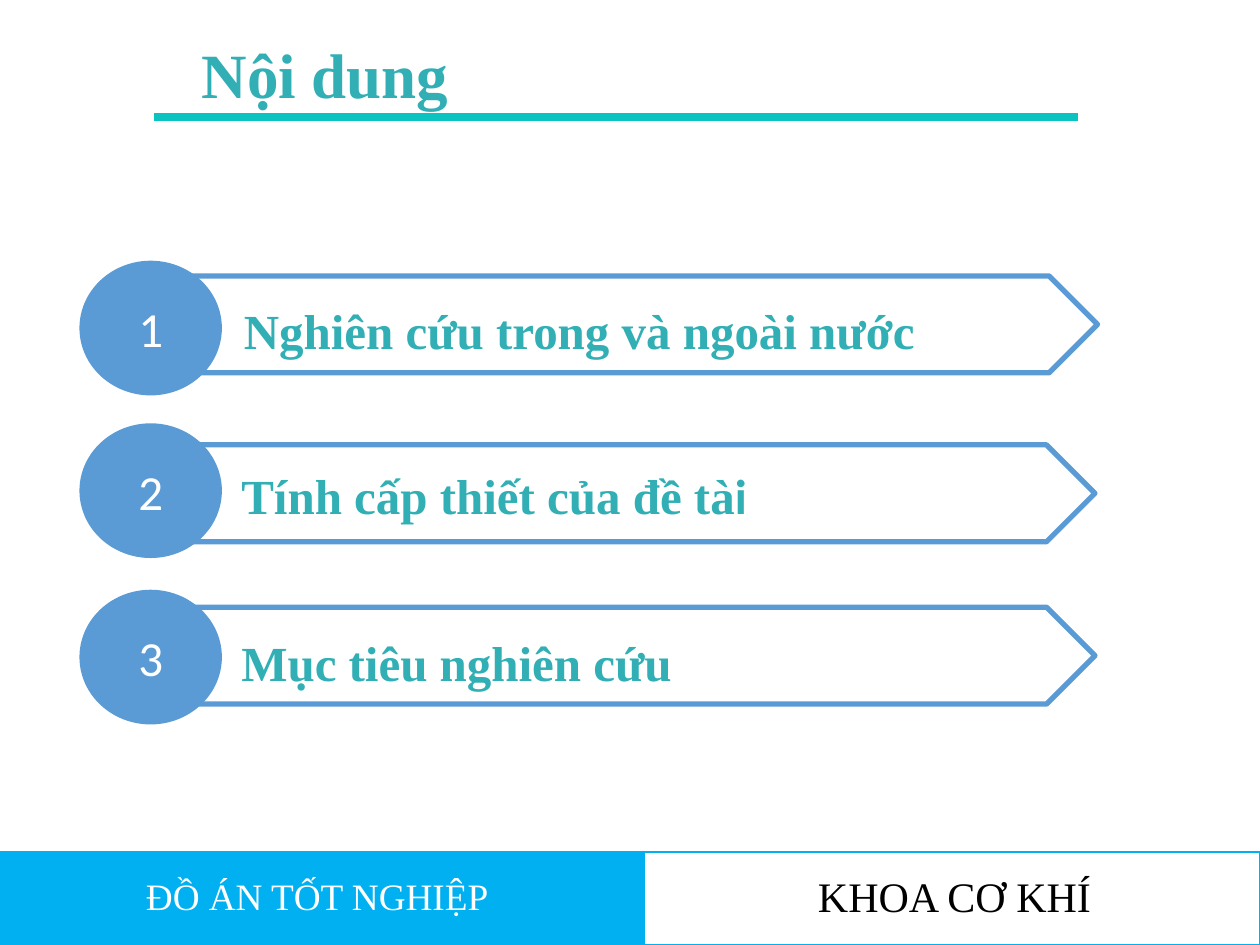
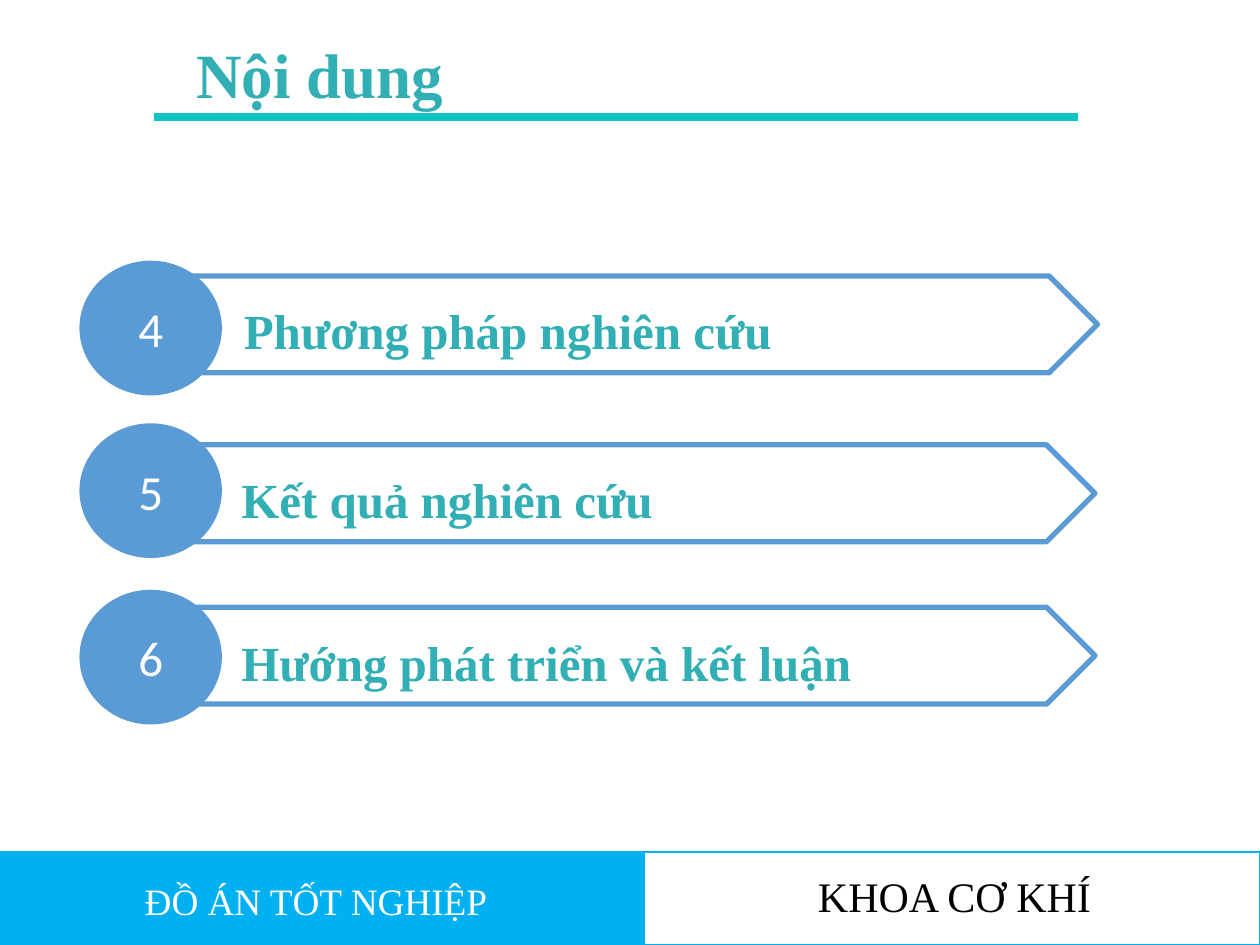
from dataclasses import dataclass

from lxml.etree import SubElement
from pptx import Presentation
from pptx.dml.color import RGBColor
from pptx.enum.shapes import MSO_CONNECTOR, MSO_SHAPE
from pptx.enum.text import MSO_ANCHOR, PP_ALIGN
from pptx.oxml.ns import qn
from pptx.util import Pt

SERIF = "Times New Roman"
SANS = "Calibri"
TEAL = "31AFB5"
RULE_TEAL = "0BC3C1"
STEEL = "5B9BD5"
SKY = "00B0F0"
WHITE = "FFFFFF"
BLACK = "000000"

FOOTER_TOP = 486.7
FOOTER_HEIGHT = 53.3
FOOTER_SPLIT = 367.9


@dataclass(frozen=True)
class Area:
    left: float
    top: float
    width: float
    height: float

    def lengths(self) -> list:
        return [Pt(value) for value in (self.left, self.top, self.width, self.height)]


@dataclass(frozen=True)
class Style:
    size: float
    color: str
    font: str = SERIF
    bold: bool = False


@dataclass(frozen=True)
class Row:
    plate_left: float
    plate_top: float
    circle_top: float


@dataclass(frozen=True)
class Topic:
    label: str
    sans_tail: str = ""


@dataclass(frozen=True)
class Agenda:
    title_left: float
    project: Area
    first_number: int
    topics: tuple


TITLE = Style(36, TEAL, bold=True)
TOPIC = Style(28, TEAL, bold=True)
TOPIC_TAIL = Style(28, TEAL, SANS, True)
NUMBER = Style(28, WHITE, SANS)
FACULTY = Style(24, BLACK)
PROJECT = Style(21.3, WHITE)

ROWS = (Row(87.84, 157.7, 149), Row(86.4, 254.2, 241.9), Row(86.4, 347, 337))

AGENDAS = (
    Agenda(115.2, Area(76.3, 495.4, 231.1, 33.1), 1, (
        Topic("Nghiên cứu trong và ngoài nước"),
        Topic("Tính cấp thiết của đề tà", "i"),
        Topic("Mục tiêu nghiên cứu"),
    )),
    Agenda(112.3, Area(75.6, 498.2, 439.9, 33.1), 4, (
        Topic("Phương pháp nghiên cứu"),
        Topic("Kết quả nghiên cứu"),
        Topic("Hướng phát triển và kết luận"),
    )),
)


def rgb(color: str) -> RGBColor:
    return RGBColor.from_string(color)


def format_span(span, style: Style) -> None:
    span.font.size = Pt(style.size)
    span.font.name = style.font
    span.font.bold = style.bold
    span.font.color.rgb = rgb(style.color)


def write(shape, text: str, style: Style, align=PP_ALIGN.LEFT, anchor=MSO_ANCHOR.TOP):
    frame = shape.text_frame
    frame.text = text
    frame.word_wrap = True
    frame.vertical_anchor = anchor
    para = frame.paragraphs[0]
    para.alignment = align
    format_span(para.runs[0], style)
    return frame


def add_box(page, area: Area, text: str, style: Style, align=PP_ALIGN.LEFT):
    return write(page.shapes.add_textbox(*area.lengths()), text, style, align)


def add_block(page, kind, area: Area, fill: str = "", line: str = "", weight: float = 1):
    shape = page.shapes.add_shape(kind, *area.lengths())
    shape.shadow.inherit = False
    if fill:
        shape.fill.solid()
        shape.fill.fore_color.rgb = rgb(fill)
    else:
        shape.fill.background()
    if line:
        shape.line.color.rgb = rgb(line)
        shape.line.width = Pt(weight)
    else:
        shape.line.fill.background()
    return shape


def add_title(page, left: float) -> None:
    frame = add_box(page, Area(left, 20.2, 192.2, 43.9), "Nội dung", TITLE)
    frame.margin_left = frame.margin_right = frame.margin_top = frame.margin_bottom = 0


def add_rule(page) -> None:
    rule = page.shapes.add_connector(MSO_CONNECTOR.STRAIGHT, Pt(87.84), Pt(67), Pt(616.3), Pt(67))
    rule.line.color.rgb = rgb(RULE_TEAL)
    rule.line.width = Pt(4.5)
    SubElement(rule._element.spPr, qn("a:effectLst"))


def add_topic(page, row: Row, number: int, topic: Topic) -> None:
    plate_area = Area(row.plate_left, row.plate_top, 539.3, 55.4)
    plate = add_block(page, MSO_SHAPE.PENTAGON, plate_area, line=STEEL, weight=3)
    frame = write(plate, topic.label, TOPIC)
    frame.margin_left = Pt(51.5)
    frame.margin_top = Pt(3.6 if topic.sans_tail else 5.8)
    para = frame.paragraphs[0]
    para.line_spacing = 1.25
    if topic.sans_tail:
        tail = para.add_run()
        tail.text = topic.sans_tail
        format_span(tail, TOPIC_TAIL)
    circle_area = Area(45.4, row.circle_top, 81.4, 77)
    circle = add_block(page, MSO_SHAPE.FLOWCHART_CONNECTOR, circle_area, fill=STEEL)
    write(circle, str(number), NUMBER, PP_ALIGN.CENTER, MSO_ANCHOR.MIDDLE)


def add_footer(page, project: Area) -> None:
    for left, right, fill in ((0, FOOTER_SPLIT, SKY), (FOOTER_SPLIT, 720, WHITE)):
        band = Area(left, FOOTER_TOP, right - left, FOOTER_HEIGHT)
        add_block(page, MSO_SHAPE.RECTANGLE, band, fill, SKY)
    add_box(page, Area(400.3, 493.9, 290.2, 36), "KHOA CƠ KHÍ", FACULTY, PP_ALIGN.CENTER)
    add_box(page, project, "ĐỒ ÁN TỐT NGHIỆP", PROJECT)


def add_agenda(deck, agenda: Agenda) -> None:
    page = deck.slides.add_slide(deck.slide_layouts[6])
    add_title(page, agenda.title_left)
    for number, (row, topic) in enumerate(zip(ROWS, agenda.topics), agenda.first_number):
        add_topic(page, row, number, topic)
    add_rule(page)
    add_footer(page, agenda.project)


def main() -> None:
    deck = Presentation()
    deck.slide_width, deck.slide_height = Pt(720), Pt(540)
    for agenda in AGENDAS:
        add_agenda(deck, agenda)
    deck.save("out.pptx")


if __name__ == "__main__":
    main()
